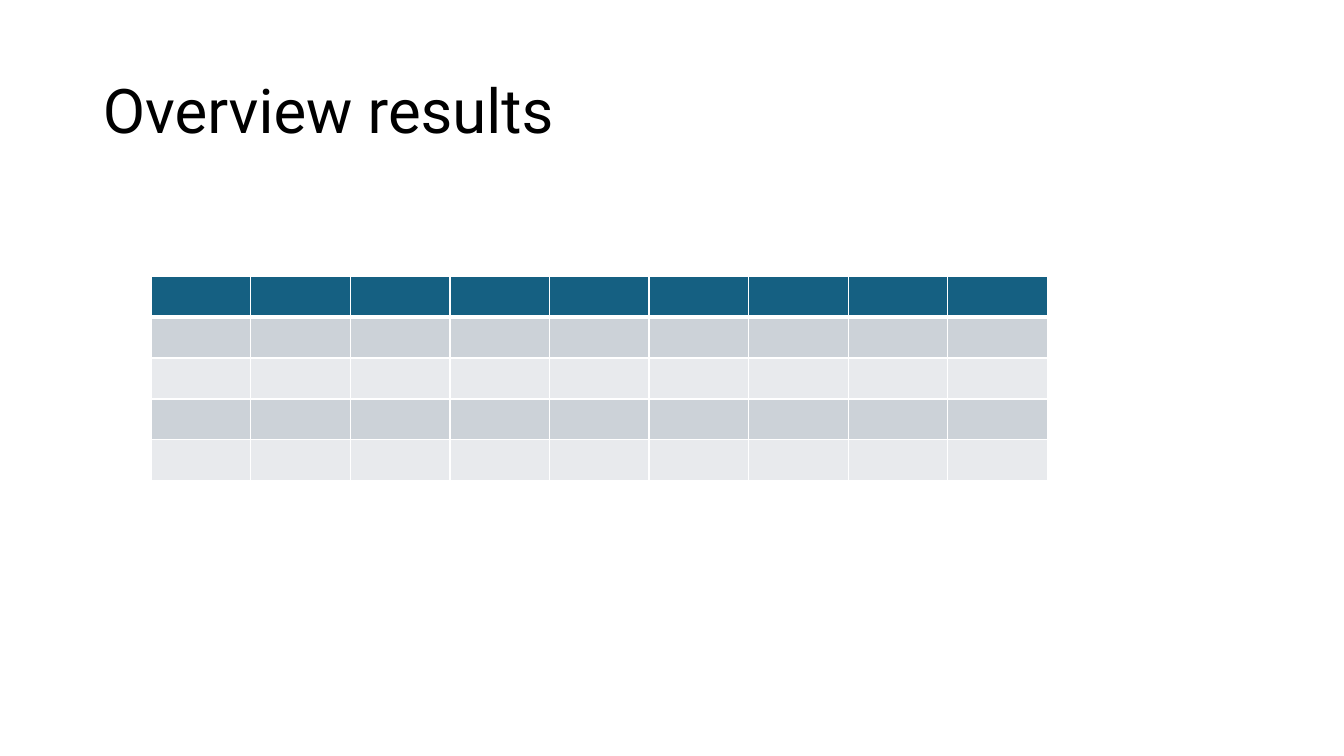
from lxml.etree import SubElement
from pptx import Presentation
from pptx.dml.color import RGBColor
from pptx.enum.text import MSO_ANCHOR, PP_ALIGN
from pptx.oxml.ns import qn
from pptx.util import Inches, Pt

TITLE = "Overview results"
COLS = 9
HEAD, DARK, LIGHT, WHITE = "156082", "CCD2D8", "E8EAED", "FFFFFF"
FILLS = [HEAD, DARK, LIGHT, DARK, LIGHT]
TABLE = (1.5, 2.74, 8.89, 2.03)


def rgb(code):
    return RGBColor.from_string(code)


def write(frame, text, size=18, font="Roboto", color="000000"):
    frame.word_wrap = True
    frame.vertical_anchor = MSO_ANCHOR.MIDDLE
    para = frame.paragraphs[0]
    para.alignment = PP_ALIGN.LEFT
    para.line_spacing = 0.9
    run = para.add_run()
    run.text = text
    run.font.size = Pt(size)
    run.font.name = font
    run.font.color.rgb = rgb(color)


def edge(cell, side, width):
    """Draw a white border on one side (L, R, T or B) of a cell."""
    props = cell._tc.get_or_add_tcPr()
    line = SubElement(props, qn(f"a:ln{side}"), w=str(Pt(width)))
    fill = SubElement(line, qn("a:solidFill"))
    SubElement(fill, qn("a:srgbClr"), val=WHITE)


def grid(slide):
    box = [Inches(n) for n in TABLE]
    table = slide.shapes.add_table(len(FILLS), COLS, *box).table
    for col in table.columns:
        col.width = Inches(TABLE[2] / COLS)
    for r, color in enumerate(FILLS):
        table.rows[r].height = Inches(TABLE[3] / len(FILLS))
        for cell in table.rows[r].cells:
            for side in "LRTB":
                thick = (r, side) in [(0, "B"), (1, "T")]
                edge(cell, side, 3 if thick else 1)
            cell.fill.solid()
            cell.fill.fore_color.rgb = rgb(color)


def main():
    deck = Presentation()
    deck.slide_width, deck.slide_height = Inches(13.33), Inches(7.5)
    slide = deck.slides.add_slide(deck.slide_layouts[5])
    title = slide.shapes.title
    title.left, title.top = Inches(0.92), Inches(0.4)
    title.width, title.height = Inches(11.5), Inches(1.45)
    write(title.text_frame, TITLE, size=44)
    grid(slide)
    deck.save("out.pptx")


if __name__ == "__main__":
    main()
